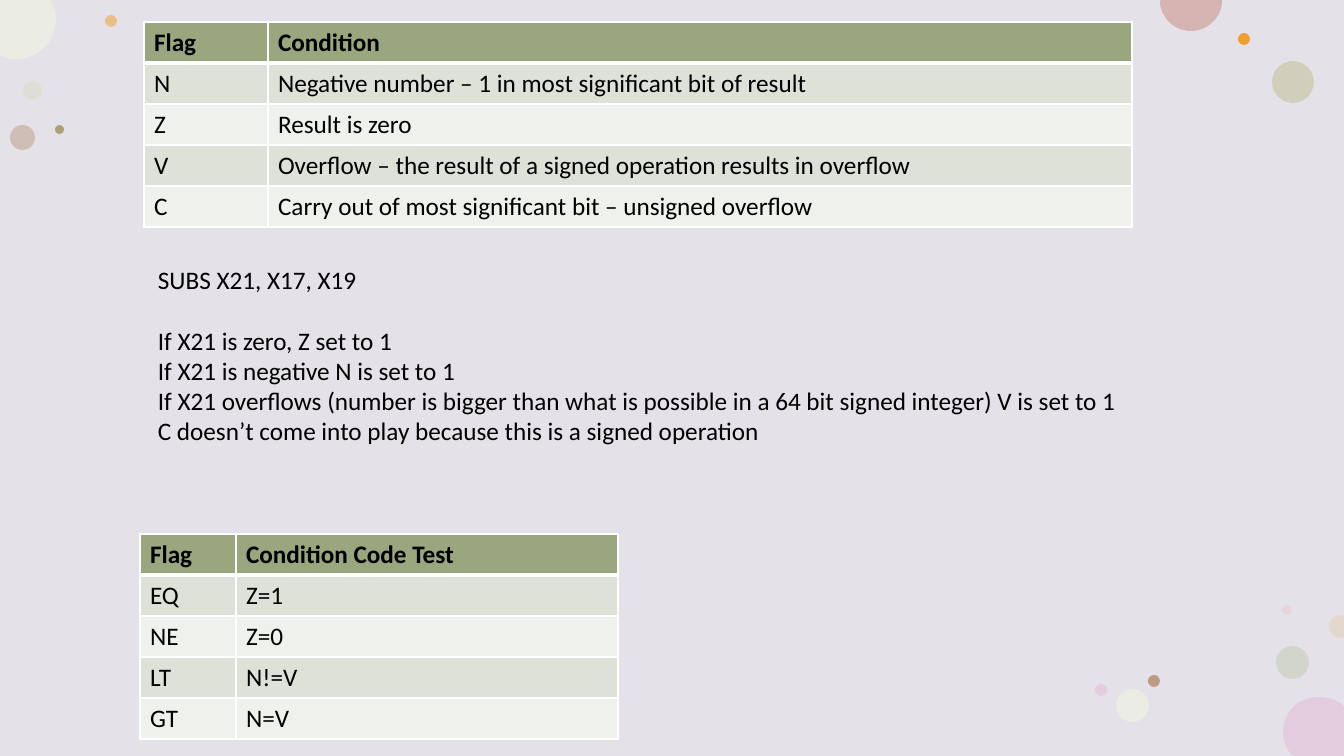
from dataclasses import dataclass

from lxml import etree
from pptx import Presentation
from pptx.dml.color import RGBColor
from pptx.enum.shapes import MSO_SHAPE
from pptx.enum.text import MSO_AUTO_SIZE
from pptx.oxml.ns import qn
from pptx.util import Pt

OVAL = MSO_SHAPE.OVAL
RECT = MSO_SHAPE.RECTANGLE
GROW = MSO_AUTO_SIZE.SHAPE_TO_FIT_TEXT


@dataclass(frozen=True)
class Theme:
    font: str = "Calibri"
    size: int = 18
    gap: int = 22
    ink: str = "000000"
    back: str = "E4E2E8"
    head: str = "9AA67D"
    bands: tuple = ("EFF1EC", "DEE1D7")
    edge: str = "FFFFFF"
    thin: int = 1
    thick: int = 3


THEME = Theme()
WIDE, HIGH = 1344, 756
SCALE = 12192000 / WIDE
ROW = 41

TABLES = [
    {"at": (144, 22), "cols": (124, 864), "rows": [
        ("Flag", "Condition"),
        ("N", "Negative number – 1 in most significant bit of result"),
        ("Z", "Result is zero"),
        ("V", "Overflow – the result of a signed operation results in overflow"),
        ("C", "Carry out of most significant bit – unsigned overflow"),
    ]},
    {"at": (140, 534), "cols": (96, 382), "rows": [
        ("Flag", "Condition Code Test"),
        ("EQ", "Z=1"),
        ("NE", "Z=0"),
        ("LT", "N!=V"),
        ("GT", "N=V"),
    ]},
]

NOTES = [
    "SUBS X21, X17, X19",
    "If X21 is zero, Z set to 1",
    "If X21 is negative N is set to 1",
    "If X21 overflows (number is bigger than what is possible in a 64 bit signed integer) V is set to 1",
    "C doesn’t come into play because this is a signed operation",
]
NOTES_BOX = (148, 259, 991, 194)

# left, top, diameter, colour, opacity
DOTS = [
    (23, 81, 19, "DDDAC7", 50),
    (105, 15, 12, "F39E29", 50),
    (1276, 646, 33, "C2CAB1", 50),
    (10, 125, 25, "BB9B81", 50),
    (1272, 61, 42, "CBC7AB", 72),
    (1238, 33, 12, "F39E29", 100),
    (1282, 605, 10, "E3BEBE", 28),
    (1148, 675, 12, "BB9B81", 100),
    (1116, 689, 33, "EBEDE5", 100),
    (1095, 684, 12, "E3CCDE", 100),
    (55, 125, 9, "A9A273", 100),
]

# colour, segment kinds (L line, C curve), points
CUTS = [
    ("E3CCDE", "CLLLCC", [
        (1318, 697), (1328, 697), (1337, 700), (1344, 706), (1344, 756),
        (1293, 756), (1291, 754), (1286, 748), (1283, 740), (1283, 732),
        (1283, 712), (1299, 697), (1318, 697)]),
    ("EBEDE5", "LLCCCL", [
        (0, 0), (50, 0), (53, 5), (55, 9), (56, 14), (56, 20), (56, 41),
        (38, 59), (17, 59), (11, 59), (6, 58), (2, 56), (0, 55)]),
    ("D6B4B2", "LLCC", [
        (1161, 0), (1222, 0), (1222, 1), (1222, 17), (1208, 31), (1191, 31),
        (1174, 31), (1160, 17), (1160, 1)]),
    ("E4D7CD", "LLLCC", [
        (1340, 615), (1344, 616), (1344, 637), (1340, 638), (1334, 638),
        (1329, 633), (1329, 626), (1329, 620), (1334, 615), (1340, 615)]),
]


def px(num):
    return round(num * SCALE)


def paint(fill, color):
    fill.solid()
    fill.fore_color.rgb = RGBColor.from_string(color)


def finish(shape, color):
    shape.shadow.inherit = False
    shape.line.fill.background()
    paint(shape.fill, color)


def style(para, bold=False):
    font = para.font
    font.name, font.size, font.bold = THEME.font, Pt(THEME.size), bold
    font.color.rgb = RGBColor.from_string(THEME.ink)


def add_dot(shapes, x, y, size, color, alpha):
    dot = shapes.add_shape(OVAL, px(x), px(y), px(size), px(size))
    finish(dot, color)
    if alpha < 100:
        tint = dot.fill._xPr.find(".//" + qn("a:srgbClr"))
        etree.SubElement(tint, qn("a:alpha"), val=str(alpha * 1000))


def add_cut(shapes, color, kinds, points):
    spots = [(px(x), px(y)) for x, y in points]
    pen = shapes.build_freeform(*spots[0])
    pen.add_line_segments(spots[1:])
    shape = pen.convert_to_shape()
    finish(shape, color)
    lines = iter(shape._element.findall(".//" + qn("a:lnTo")))
    for kind in kinds:
        curve = next(lines)
        if kind == "C":
            curve.tag = qn("a:cubicBezTo")
            for line in (next(lines), next(lines)):
                curve.append(line[0])
                line.getparent().remove(line)


def add_edges(cell, row):
    props = cell._tc.get_or_add_tcPr()
    heavy = {0: "lnB", 1: "lnT"}.get(row)
    for spot, side in enumerate(("lnL", "lnR", "lnT", "lnB")):
        width = THEME.thick if side == heavy else THEME.thin
        line = etree.Element(qn("a:" + side), w=str(Pt(width)))
        fill = etree.SubElement(line, qn("a:solidFill"))
        etree.SubElement(fill, qn("a:srgbClr"), val=THEME.edge)
        props.insert(spot, line)


def add_grid(shapes, at, cols, rows):
    frame = shapes.add_table(len(rows), len(cols), px(at[0]), px(at[1]),
                             px(sum(cols)), px(ROW * len(rows)))
    table = frame.table
    for col, width in zip(table.columns, cols):
        col.width = px(width)
    for i, texts in enumerate(rows):
        table.rows[i].height = px(ROW)
        for j, text in enumerate(texts):
            cell = table.cell(i, j)
            cell.text = text
            style(cell.text_frame.paragraphs[0], bold=i == 0)
            paint(cell.fill, THEME.bands[i % 2] if i else THEME.head)
            add_edges(cell, i)


def add_notes(shapes):
    frame = shapes.add_textbox(*map(px, NOTES_BOX)).text_frame
    frame.word_wrap = False
    frame.auto_size = GROW
    frame.text = "\n".join(NOTES)
    for para in frame.paragraphs:
        style(para)
    frame.paragraphs[1].space_before = Pt(THEME.gap)


def main():
    deck = Presentation()
    deck.slide_width, deck.slide_height = px(WIDE), px(HIGH)
    shapes = deck.slides.add_slide(deck.slide_layouts[6]).shapes
    finish(shapes.add_shape(RECT, 0, 0, px(WIDE), px(HIGH)), THEME.back)
    for dot in DOTS:
        add_dot(shapes, *dot)
    for cut in CUTS:
        add_cut(shapes, *cut)
    first, last = TABLES
    add_grid(shapes, **first)
    add_notes(shapes)
    add_grid(shapes, **last)
    deck.save("out.pptx")


if __name__ == "__main__":
    main()
